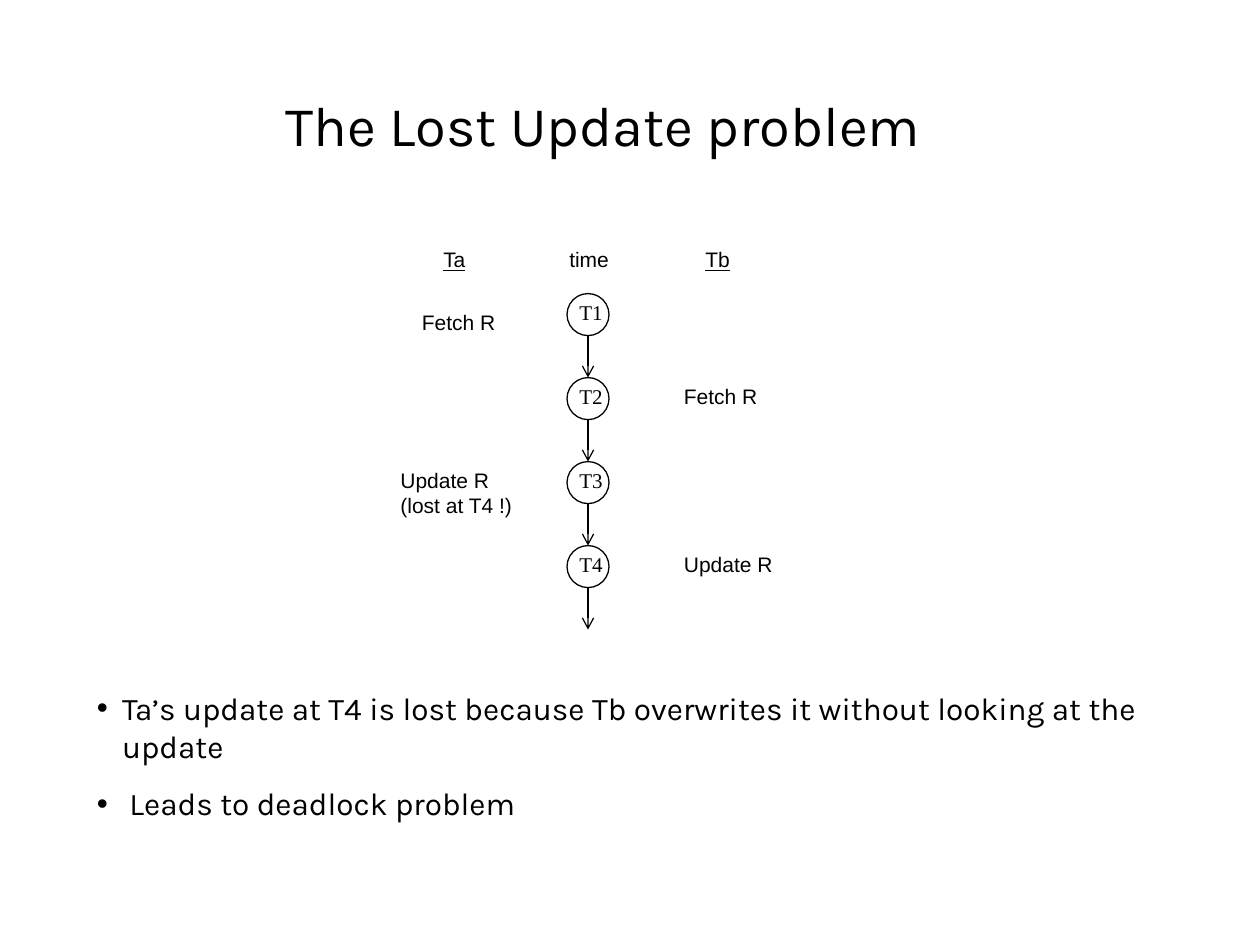
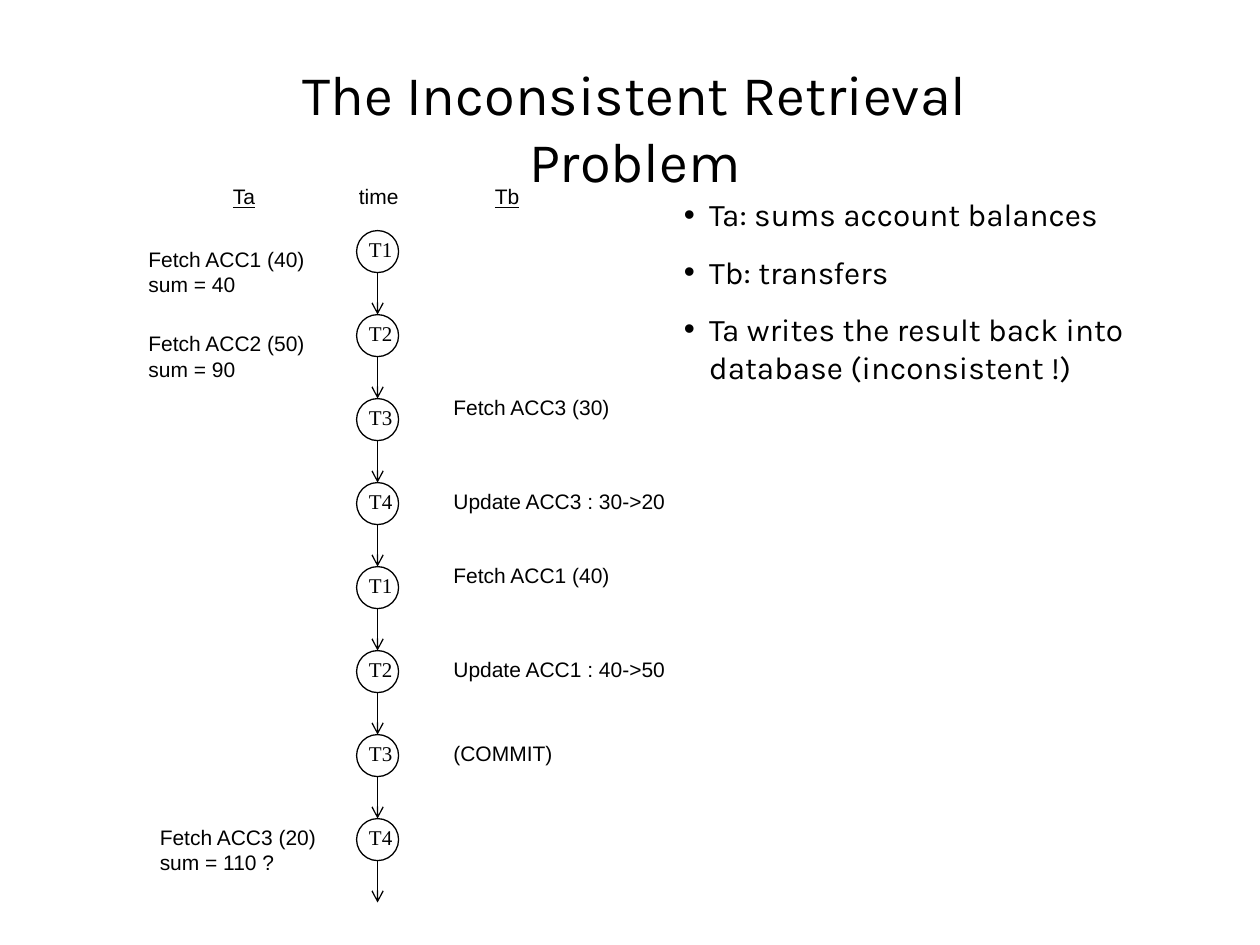
import pptx
import pptx.dml.color
import pptx.enum.shapes
import pptx.enum.text
import pptx.oxml
import pptx.oxml.ns
import pptx.util
from lxml import etree

Inches = pptx.util.Inches
Pt = pptx.util.Pt
Align = pptx.enum.text.PP_ALIGN

COLOURS = {"ink": "000000", "paper": "FFFFFF"}
FONTS = {"main": "Karla", "label": "Arial", "step": "Times New Roman"}
STEP_PITCH = 2 / 3
CIRCLE_SIZE = 1 / 3


class Deck:
    """Holds the shared style and the current slide."""

    def __init__(self):
        self.presentation = pptx.Presentation()
        self.presentation.slide_width = Inches(10)
        self.presentation.slide_height = Inches(7.5)
        self.slide = None

    def colour(self, name):
        return pptx.dml.color.RGBColor.from_string(COLOURS[name])

    def add_slide(self):
        self.slide = self.presentation.slides.add_slide(self.presentation.slide_layouts[6])
        fill = self.slide.background.fill
        fill.solid()
        fill.fore_color.rgb = self.colour("paper")

    def add_child(self, parent, tag, **attributes):
        return etree.SubElement(parent, pptx.oxml.ns.qn(tag), **attributes)

    def add_text(self, left, top, width, height, texts, font, size,
                 align=Align.LEFT, underline=False, bullets=False):
        shape = self.slide.shapes.add_textbox(
            Inches(left), Inches(top), Inches(width), Inches(height))
        frame = shape.text_frame
        frame.word_wrap = True
        frame.auto_size = pptx.enum.text.MSO_AUTO_SIZE.SHAPE_TO_FIT_TEXT
        for index, text in enumerate(texts):
            paragraph = frame.add_paragraph() if index else frame.paragraphs[0]
            if bullets:
                self.add_bullet(paragraph)
            if index:
                paragraph.space_before = Pt(11.2)
            paragraph.alignment = align
            run = paragraph.add_run()
            run.text = text
            run.font.name = FONTS[font]
            run.font.size = Pt(size)
            run.font.color.rgb = self.colour("ink")
            if underline:
                run.font.underline = True

    def add_bullet(self, paragraph):
        properties = paragraph._p.get_or_add_pPr()
        properties.set("marL", str(Inches(0.2)))
        properties.set("indent", str(-Inches(0.2)))
        bullet_colour = self.add_child(properties, "a:buClr")
        self.add_child(bullet_colour, "a:srgbClr", val=COLOURS["ink"])
        self.add_child(properties, "a:buFont", typeface=FONTS["label"])
        self.add_child(properties, "a:buChar", char="•")

    def add_title(self, left, top, width, height, text, align=Align.LEFT):
        self.add_text(left, top, width, height, [text], "main", 32, align)

    def add_bullets(self, left, top, width, height, texts):
        self.add_text(left, top, width, height, texts, "main", 18, bullets=True)

    def add_label(self, left, top, width, text, height=0.3, font="label", underline=False):
        self.add_text(left, top, width, height, [text], font, 12, underline=underline)

    def add_circle(self, left, top):
        shape = self.slide.shapes.add_shape(
            pptx.enum.shapes.MSO_SHAPE.OVAL,
            Inches(left), Inches(top), Inches(CIRCLE_SIZE), Inches(CIRCLE_SIZE))
        shape.shadow.inherit = False
        shape.fill.background()
        shape.line.color.rgb = self.colour("ink")
        shape.line.width = Pt(0.75)

    def add_down_arrow(self, x, top, bottom):
        connector = self.slide.shapes.add_connector(
            pptx.enum.shapes.MSO_CONNECTOR.STRAIGHT,
            Inches(x), Inches(top), Inches(x), Inches(bottom))
        connector.line.color.rgb = self.colour("ink")
        connector.line.width = Pt(0.75)
        self.add_child(connector.line._get_or_add_ln(), "a:tailEnd", type="arrow")
        self.add_child(connector._element.spPr, "a:effectLst")

    def add_timeline(self, left, top, steps, events):
        for offset, width, heading in ((-1.08, 0.5, "Ta"), (-0.08, 0.67, "time"), (1, 0.5, "Tb")):
            self.add_label(left + offset, top - 0.42, width, heading,
                           underline=heading != "time")
        for index, step in enumerate(steps):
            step_top = top + index * STEP_PITCH
            self.add_circle(left, step_top)
            self.add_label(left, step_top, 0.42, step, font="step")
            self.add_down_arrow(left + CIRCLE_SIZE / 2, step_top + CIRCLE_SIZE,
                                step_top + STEP_PITCH)
        for index, nudge, event_left, width, height, text in events:
            self.add_label(event_left, top + index * STEP_PITCH + nudge, width, text, height)


def build_lost_update(deck):
    deck.add_slide()
    deck.add_title(2.17, 0.67, 5.83, 0.64, "The Lost Update problem")
    deck.add_timeline(4.5, 2.33, ["T1", "T2", "T3", "T4"], [
        (0, 0.08, 3.25, 0.92, 0.3, "Fetch R"),
        (1, 0, 5.33, 1.17, 0.3, "Fetch R"),
        (2, 0, 3.08, 1.25, 0.5, "Update R (lost at T4 !)"),
        (3, 0, 5.33, 1, 0.3, "Update R"),
    ])
    deck.add_bullets(0.67, 5.42, 8.75, 1.16, [
        "Ta’s update at T4 is lost because Tb overwrites it without looking at the update",
        " Leads to deadlock problem",
    ])


def build_inconsistent_retrieval(deck):
    deck.add_slide()
    deck.add_title(1.5, 0.42, 7.08, 1.17, "The Inconsistent Retrieval Problem", Align.CENTER)
    deck.add_bullets(5.33, 1.5, 4.25, 1.62, [
        "Ta: sums account balances",
        "Tb: transfers",
        "Ta writes the result back into database (inconsistent !)",
    ])
    deck.add_timeline(2.83, 1.83, ["T1", "T2", "T3", "T4"] * 2, [
        (0, 0.08, 1.08, 1.5, 0.5, "Fetch ACC1 (40) sum = 40"),
        (1, 0.08, 1.08, 1.5, 0.5, "Fetch ACC2 (50) sum = 90"),
        (2, -0.08, 3.5, 1.58, 0.3, "Fetch ACC3 (30)"),
        (3, 0, 3.5, 2.25, 0.3, "Update ACC3 : 30->20"),
        (4, -0.08, 3.5, 1.58, 0.3, "Fetch ACC1 (40)"),
        (5, 0, 3.5, 2.25, 0.3, "Update ACC1 : 40->50"),
        (6, 0, 3.5, 1.58, 0.3, "(COMMIT)"),
        (7, 0, 1.17, 1.5, 0.5, "Fetch ACC3 (20) sum = 110 ?"),
    ])


def main():
    deck = Deck()
    build_lost_update(deck)
    build_inconsistent_retrieval(deck)
    deck.presentation.save("out.pptx")


if __name__ == "__main__":
    main()
